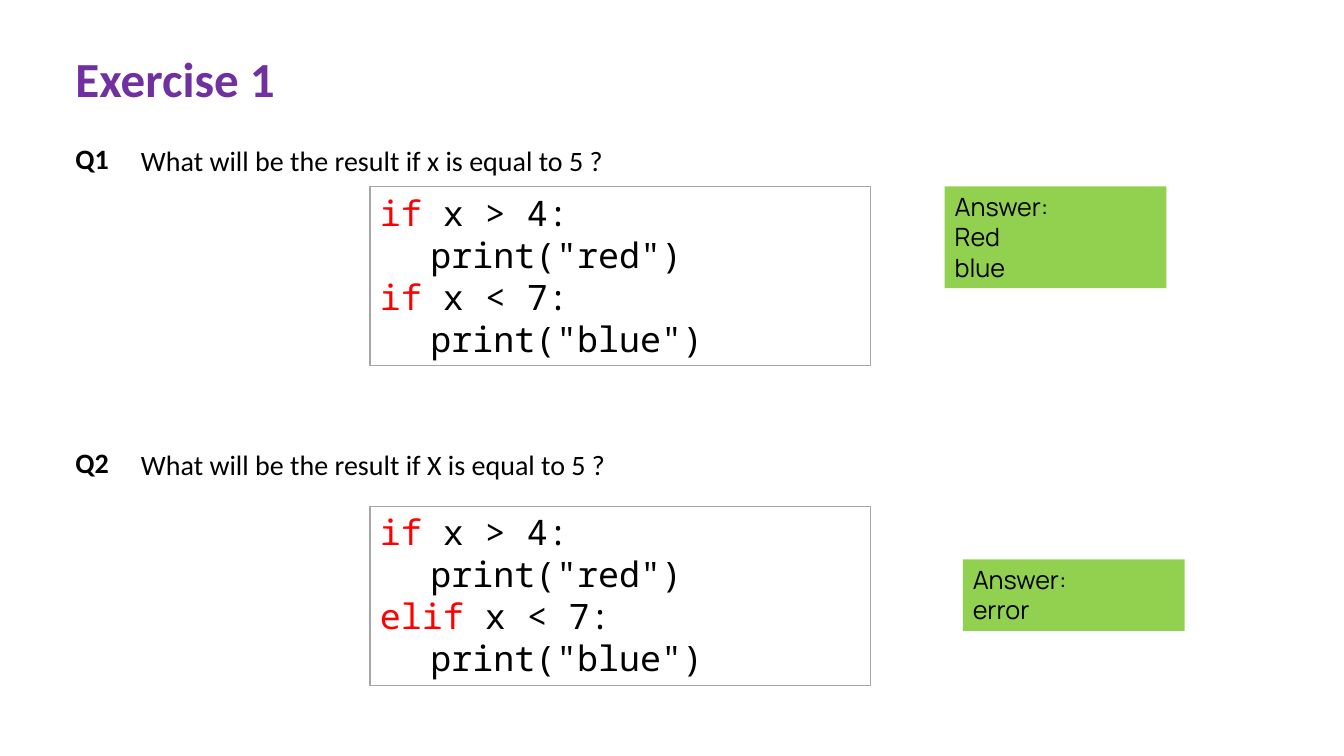
from dataclasses import dataclass

from pptx import Presentation, util as u
from pptx.dml.color import RGBColor
from pptx.enum import shapes, text


@dataclass(frozen=True)
class Theme:
    """Colours, fonts and type sizes of the slide."""
    ink: str = "000000"
    title: str = "7030A0"
    keyword: str = "FF0000"
    frame: str = "A6A6A6"
    answer: str = "92D050"
    body_font: str = "Calibri"
    code_font: str = "Noto Sans Mono"
    answer_font: str = "Manrope"
    title_size: int = 35
    body_size: int = 20
    code_size: int = 25
    answer_size: int = 18
    frame_width: float = 0.75


THEME = Theme()
CELL = u.Inches(0.1)  # side of one grid cell; boxes are (column, row, columns, rows)
KEYWORDS = ("if", "elif")


def within(box, col, row, cols, rows):
    """Return a box whose corner is counted from the corner of another box."""
    return box[0] + col, box[1] + row, cols, rows


def emu(box):
    """Turn grid columns and rows into lengths."""
    return [round(n * CELL) for n in box]


def add_text(tf, lines, *, font, size, color=THEME.ink, bold=False, wrap=True):
    """Write lines; a line is a list of (words, colour) pairs or a plain string."""
    tf.word_wrap = wrap
    tf.vertical_anchor = text.MSO_ANCHOR.TOP
    for i, line in enumerate(lines):
        p = tf.paragraphs[0] if i == 0 else tf.add_paragraph()
        p.alignment = text.PP_ALIGN.LEFT
        for words, shade in [(line, color)] if isinstance(line, str) else line:
            r = p.add_run()
            r.text = words
            r.font.name, r.font.size, r.font.bold = font, u.Pt(size), bold
            r.font.color.rgb = RGBColor.from_string(shade)


def add_label(s, box, words, **fmt):
    """Place a one-line text box."""
    sp = s.shapes.add_textbox(*emu(box))
    add_text(sp.text_frame, [words], wrap=False, **fmt)


def add_panel(s, box, lines, *, fill=None, line=None, **fmt):
    """Place a rectangle with text and an optional fill and outline."""
    sp = s.shapes.add_shape(shapes.MSO_SHAPE.RECTANGLE, *emu(box))
    sp.shadow.inherit = False
    if fill:
        sp.fill.solid()
        sp.fill.fore_color.rgb = RGBColor.from_string(fill)
    else:
        sp.fill.background()
    if line:
        sp.line.color.rgb = RGBColor.from_string(line)
        sp.line.width = u.Pt(THEME.frame_width)
    else:
        sp.line.fill.background()
    add_text(sp.text_frame, lines, **fmt)


def highlight(line):
    """Split a code line so that its leading keyword gets its own colour."""
    head, gap, rest = line.partition(" ")
    if head in KEYWORDS:
        return [(head, THEME.keyword), (gap + rest, THEME.ink)]
    return [(line, THEME.ink)]


def add_code(s, box, source):
    """Place a framed, highlighted code listing."""
    add_panel(s, box, [highlight(line) for line in source], line=THEME.frame,
              font=THEME.code_font, size=THEME.code_size)


def add_answer(s, box, results):
    """Place the green answer card."""
    add_panel(s, box, ["Answer:", *results], fill=THEME.answer,
              font=THEME.answer_font, size=THEME.answer_size)


def add_question(s, box, number, prompt, source, results, code_row, answer_at):
    """Place one question: number, prompt, code and answer, inside its box."""
    body = dict(font=THEME.body_font, size=THEME.body_size)
    add_label(s, within(box, 0, 0, 6, 4.4), number, bold=True, **body)
    add_label(s, within(box, 6.5, 0.2, 49, 4.4), prompt, **body)
    add_code(s, within(box, 30.2, code_row, 49.6, 17.8), source)
    answer_rows = 4.1 + 3 * len(results)
    add_answer(s, within(box, *answer_at, 22, answer_rows), results)


def add_exercise(prs, title, questions):
    """Add an exercise slide with a title above evenly spaced questions."""
    s = prs.slides.add_slide(prs.slide_layouts[6])
    add_label(s, (6.5, 4.3, 22, 6.9), title, font=THEME.body_font,
              size=THEME.title_size, color=THEME.title, bold=True)
    for i, question in enumerate(questions):
        add_question(s, (6.5, 13.5 + 30.2 * i, 111, 24.3), f"Q{i + 1} ", **question)


def code(second):
    """Return the listing whose second test starts with the given keyword."""
    return ["if x > 4:", '\tprint("red")', f"{second} x < 7:", '\tprint("blue")']


prs = Presentation()
prs.slide_width, prs.slide_height = u.Inches(13.33), u.Inches(7.5)
add_exercise(prs, "Exercise 1", [
    dict(prompt="What will be the result if x is equal to 5 ?", source=code("if"),
         results=["Red", "blue"], code_row=5, answer_at=(87.2, 5)),
    dict(prompt="What will be the result if X is equal to 5 ?", source=code("elif"),
         results=["error"], code_row=6.5, answer_at=(89, 11.8)),
])
prs.save("out.pptx")
